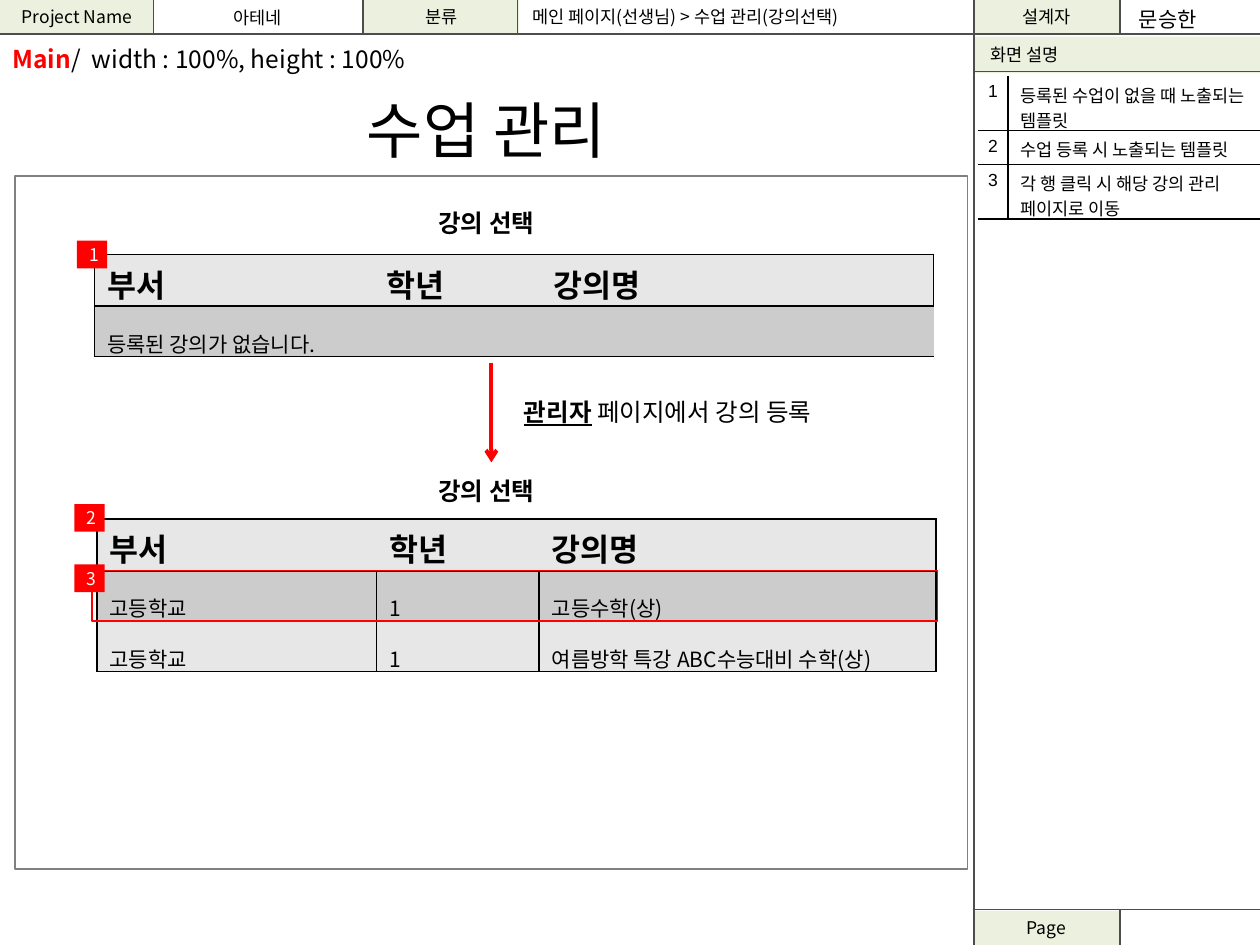
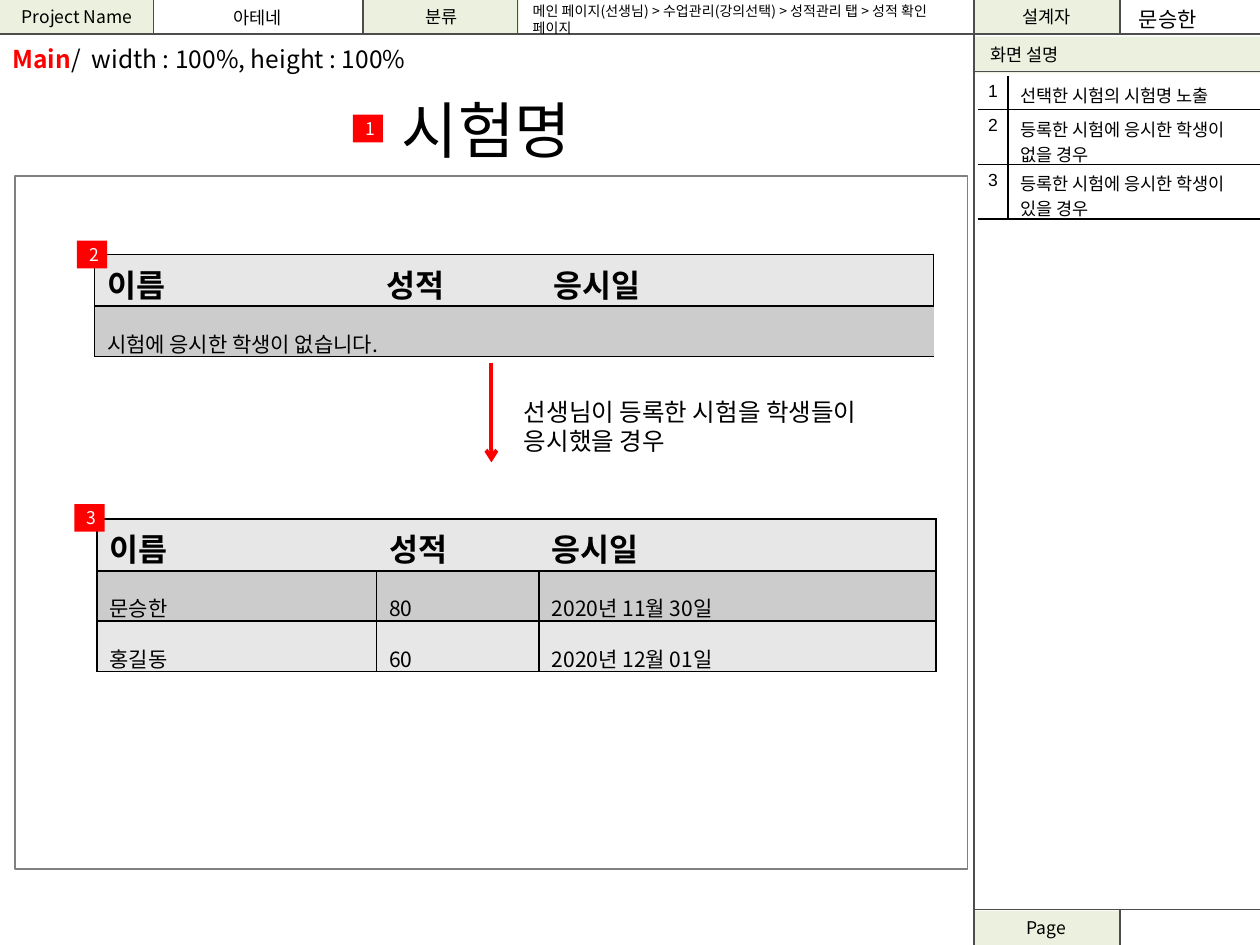
import pptx
import pptx.util
import pptx.dml.color
import pptx.enum.shapes
import pptx.enum.text
import pptx.oxml
import pptx.oxml.ns

Inches, Pt = pptx.util.Inches, pptx.util.Pt
RGBColor = pptx.dml.color.RGBColor
ALIGN, ANCHOR = pptx.enum.text.PP_ALIGN, pptx.enum.text.MSO_ANCHOR
qn = pptx.oxml.ns.qn

BLACK = RGBColor(0x00, 0x00, 0x00)
WHITE = RGBColor(0xFF, 0xFF, 0xFF)
RED = RGBColor(0xFF, 0x00, 0x00)
PALE_GREEN = RGBColor(0xEB, 0xF1, 0xDE)
RULE_GRAY = RGBColor(0x4D, 0x4D, 0x4D)
FRAME_GRAY = RGBColor(0x80, 0x80, 0x80)
LIGHT_ROW = RGBColor(0xE7, 0xE7, 0xE7)
DARK_ROW = RGBColor(0xCC, 0xCC, 0xCC)
FONT = "Noto Sans CJK KR"
NO_GRID = "{2D5ABB26-0587-4C30-8999-92F81FD0307C}"
A_NS = "http://schemas.openxmlformats.org/drawingml/2006/main"


def write(tf, runs, size, align=ALIGN.LEFT, font=FONT, spacing=None):
    """Write runs of (text, colour, bold, underline) into the first paragraph."""
    p = tf.paragraphs[0]
    p.alignment = align
    if spacing:
        p.line_spacing = spacing
    for text, color, bold, underline in runs:
        r = p.add_run()
        r.text = text
        r.font.size = Pt(size)
        r.font.bold = bold
        r.font.underline = underline
        r.font.color.rgb = color
        r.font.name = font
        ea = pptx.oxml.parse_xml(f'<a:ea xmlns:a="{A_NS}" typeface="{font}"/>')
        r.font._element.append(ea)


def box(s, at, runs=(), size=10, align=ALIGN.CENTER, fill=None, line=None,
        width=1, anchor=ANCHOR.MIDDLE):
    """Add a rectangle, or a text box when it has neither fill nor line."""
    at = [Inches(v) for v in at]
    if fill is None and line is None:
        sp = s.shapes.add_textbox(*at)
    else:
        sp = s.shapes.add_shape(pptx.enum.shapes.MSO_SHAPE.RECTANGLE, *at)
        sp.shadow.inherit = False
        if fill is None:
            sp.fill.background()
        else:
            sp.fill.solid()
            sp.fill.fore_color.rgb = fill
        if line is None:
            sp.line.fill.background()
        else:
            sp.line.color.rgb = line
            sp.line.width = Pt(width)
    tf = sp.text_frame
    tf.word_wrap = True
    tf.vertical_anchor = anchor
    write(tf, runs, size, align)


# Shared page furniture: labels, rules and the arrow between the two states
LABELS = [
    ("Page", (7.73, 7.23, 1.15, 0.27), PALE_GREEN, ALIGN.CENTER),
    ("설계자", (7.73, 0, 1.15, 0.27), PALE_GREEN, ALIGN.CENTER),
    (" 화면 설명", (7.73, 0.29, 2.27, 0.29), PALE_GREEN, ALIGN.LEFT),
    ("분류", (2.89, 0, 1.23, 0.27), PALE_GREEN, ALIGN.CENTER),
    ("아테네", (1.22, 0.01, 1.65, 0.25), None, ALIGN.CENTER),
    ("Project Name", (0, 0, 1.22, 0.27), PALE_GREEN, ALIGN.CENTER),
]
RULES = [(x, 0, x, 0.27) for x in (1.22, 2.88, 4.11, 8.89)] + [
    (0, 0.27, 10, 0.27), (7.73, 0.57, 10, 0.57), (7.73, 7.22, 10, 7.22),
    (7.73, 0, 7.73, 7.5), (8.89, 7.22, 8.89, 7.5)]
LINES = [(ends, RULE_GRAY, 0.75) for ends in RULES]
ARROW = (3.9, 2.88, 3.9, 3.67)
LINES.append((ARROW, RED, 2.25))

SLIDES = [
    dict(
        title="수업 관리",
        trail=("메인 페이지(선생님) > 수업 관리(강의선택) ", 10, (4.13, 0, 2.99, 0.27)),
        captions=[("강의 선택", 1.6), ("강의 선택", 3.73)],
        step=[("관리자", BLACK, True, True),
              (" 페이지에서 강의 등록", BLACK, False, False)],
        notes=[("등록된 수업이 없을 때 노출되는 템플릿", 2),
               ("수업 등록 시 노출되는 템플릿", 1),
               ("각 행 클릭 시 해당 강의 관리 페이지로 이동", 2)],
        head=["부서", "학년", "강의명"],
        empty="등록된 강의가 없습니다.",
        rows=[["고등학교", "1", "고등수학(상)"],
              ["고등학교", "1", "여름방학 특강 ABC수능대비 수학(상)"]],
        highlight=(0.73, 4.53, 6.71, 0.4),
        tags=[(0.61, 1.91), (0.59, 4), (0.59, 4.48)],
    ),
    dict(
        title="시험명",
        trail=("메인 페이지(선생님) > 수업관리(강의선택) > 성적관리 탭 > 성적 확인 페이지 ",
               8, (4.13, -0.03, 3.54, 0.37)),
        captions=[],
        step=[("선생님이 등록한 시험을 학생들이 응시했을 경우", BLACK, False, False)],
        notes=[("선택한 시험의 시험명 노출", 1),
               ("등록한 시험에 응시한 학생이 없을 경우 ", 2),
               ("등록한 시험에 응시한 학생이 있을 경우", 2)],
        head=["이름", "성적", "응시일"],
        empty="시험에 응시한 학생이 없습니다.",
        rows=[["문승한", "80", "2020년 11월 30일"],
              ["홍길동", "60", "2020년 12월 01일"]],
        highlight=None,
        tags=[(2.8, 0.91), (0.61, 1.91), (0.59, 4)],
    ),
]

prs = pptx.Presentation()
prs.slide_width, prs.slide_height = Inches(10), Inches(7.5)

for page in SLIDES:
    s = prs.slides.add_slide(prs.slide_layouts[6])

    for text, at, fill, align in LABELS:
        box(s, at, [(text, BLACK, False, False)], align=align, fill=fill)
    box(s, (0.12, 1.4, 7.56, 5.5), fill=WHITE, line=FRAME_GRAY)
    for ends, color, width in LINES:
        cx = s.shapes.add_connector(pptx.enum.shapes.MSO_CONNECTOR.STRAIGHT,
                                    *[Inches(v) for v in ends])
        cx.line.color.rgb = color
        cx.line.width = Pt(width)
        if ends == ARROW:
            cx.line._get_or_add_ln().append(pptx.oxml.parse_xml(
                f'<a:tailEnd xmlns:a="{A_NS}" type="arrow"/>'))
        cx._element.spPr.append(
            pptx.oxml.parse_xml(f'<a:effectLst xmlns:a="{A_NS}"/>'))

    # Free text
    trail, trail_size, trail_at = page["trail"]
    texts = [
        ((8.94, 0, 0.94, 0.3), [("문승한", BLACK, False, False)], 12, ALIGN.LEFT),
        (trail_at, [(trail, BLACK, False, False)], trail_size, ALIGN.LEFT),
        ((0.04, 0.68, 7.64, 0.69), [(page["title"], BLACK, False, False)], 35,
         ALIGN.CENTER),
        ((4.06, 3.1, 3.23, 0.34), page["step"], 14, ALIGN.LEFT),
        ((0, 0.3, 3.4, 0.34), [("Main", RED, True, False),
                               ("/  width : 100%, height : 100%", BLACK, False, False)],
         14, ALIGN.LEFT),
    ]
    for text, y in page["captions"]:
        texts.append(((2.7, y, 2.32, 0.34), [(text, BLACK, True, False)], 14,
                      ALIGN.CENTER))
    for at, runs, size, align in texts:
        box(s, at, runs, size, align, anchor=ANCHOR.TOP)

    # Tables: side notes, the empty state and the filled state
    notes = [[str(n), text] for n, (text, _) in enumerate(page["notes"], 1)]
    note_heights = [0.43 if lines == 2 else 0.27 for _, lines in page["notes"]]
    tables = [
        ("notes", 7.76, 0.6, [0.24, 2], note_heights, notes),
        ("empty", 0.75, 2.02, [2.22, 1.32, 3.12], [0.41, 0.4],
         [page["head"], [page["empty"], "", ""]]),
        ("filled", 0.77, 4.12, [2.22, 1.29, 3.15], [0.41, 0.4, 0.4],
         [page["head"]] + page["rows"]),
    ]
    for kind, x, y, widths, heights, rows in tables:
        frame = s.shapes.add_table(len(rows), len(widths), Inches(x), Inches(y),
                                   Inches(sum(widths)), Inches(sum(heights)))
        table = frame.table
        table.first_row = table.horz_banding = False
        table._tbl.tblPr.find(qn("a:tableStyleId")).text = NO_GRID
        for column, width in zip(table.columns, widths):
            column.width = Inches(width)
        for row, height in zip(table.rows, heights):
            row.height = Inches(height)
        if kind == "empty":
            table.cell(1, 0).merge(table.cell(1, 2))
        last = len(widths) - 1
        for i, row in enumerate(rows):
            for j, text in enumerate(row):
                cell = table.cell(i, j)
                if kind == "notes":
                    sides = "RB" if j == 0 else "LB"
                    if i:
                        sides += "T"
                elif kind == "filled" and i:
                    sides = "LRTB"
                else:
                    sides = "TB" + "L" * (j == 0) + "R" * (j == last)
                weight = Pt(0.75 if kind == "notes" else 1)
                tcPr = cell._tc.get_or_add_tcPr()
                for side in "LRTB":
                    if side in sides:
                        tcPr.append(pptx.oxml.parse_xml(
                            f'<a:ln{side} xmlns:a="{A_NS}" w="{weight}"><a:solidFill>'
                            f'<a:srgbClr val="{BLACK}"/></a:solidFill></a:ln{side}>'))
                if kind == "notes":
                    cell.fill.background()
                else:
                    cell.fill.solid()
                    cell.fill.fore_color.rgb = DARK_ROW if i == 1 else LIGHT_ROW
                if not text:
                    continue
                runs = [(text, BLACK, kind != "notes" and i == 0, False)]
                if kind != "notes":
                    write(cell.text_frame, runs, 12 if i else 18,
                          spacing=1.5 if i else None)
                elif j == 0:
                    cell.margin_left = cell.margin_right = Inches(0.04)
                    write(cell.text_frame, runs, 10, ALIGN.CENTER, "Arial")
                else:
                    write(cell.text_frame, runs, 10)

    # Highlighted row and numbered tags
    if page["highlight"]:
        box(s, page["highlight"], line=RED, width=0.75)
    for n, (x, y) in enumerate(page["tags"], 1):
        box(s, (x, y, 0.24, 0.22), [(str(n), WHITE, False, False)], fill=RED)

prs.save("out.pptx")
